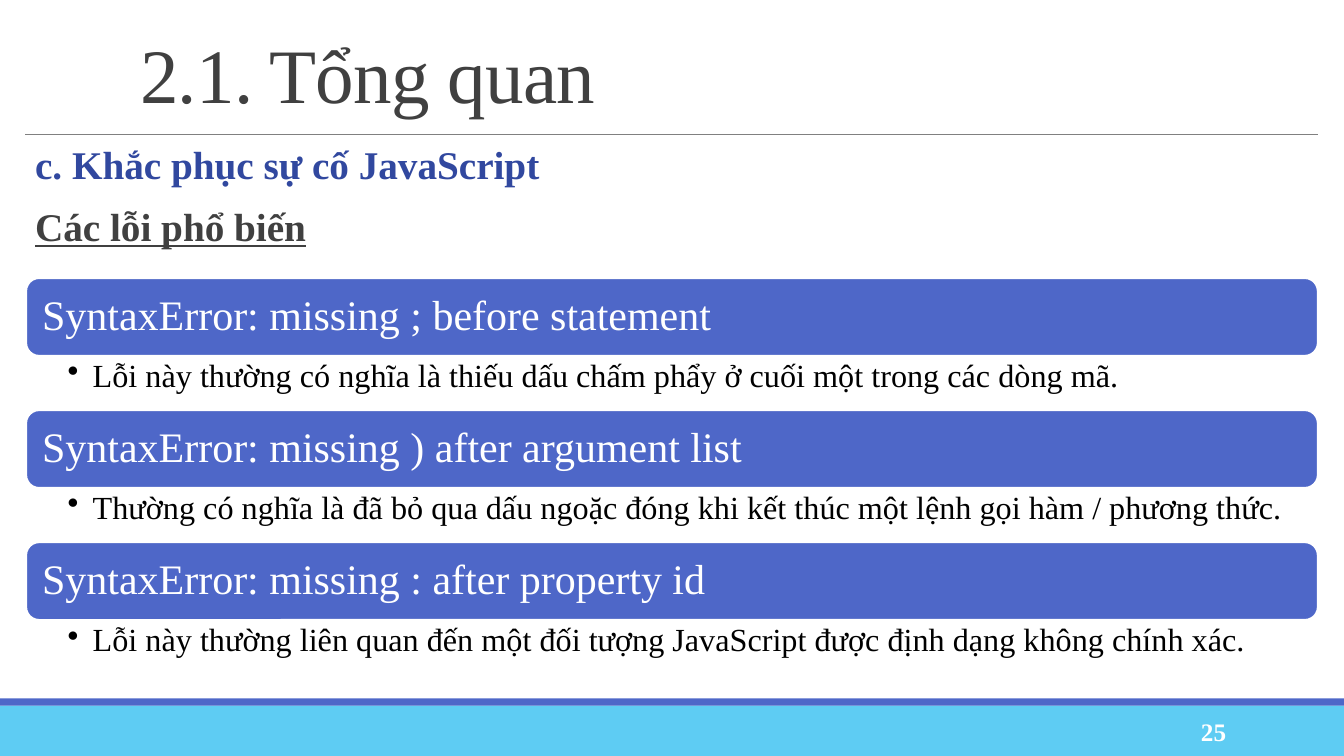
from lxml import etree
from pptx import Presentation, util as u
from pptx.dml.color import RGBColor
from pptx.enum import shapes, text
from pptx.oxml.ns import qn

# Content
TITLE = "2.1. Tổng quan"
SECTION = "c. Khắc phục sự cố JavaScript"
SUBHEAD = "Các lỗi phổ biến"
PAGE = "25"
ERRORS = [
    ("SyntaxError: missing ; before statement",
     "Lỗi này thường có nghĩa là thiếu dấu chấm phẩy ở cuối một trong các dòng mã."),
    ("SyntaxError: missing ) after argument list",
     "Thường có nghĩa là đã bỏ qua dấu ngoặc đóng khi kết thúc một lệnh gọi hàm / phương thức."),
    ("SyntaxError: missing : after property id",
     "Lỗi này thường liên quan đến một đối tượng JavaScript được định dạng không chính xác."),
]

FONT = "Times New Roman"
WHITE = RGBColor(0xFF, 0xFF, 0xFF)
BLACK = RGBColor(0, 0, 0)
DARK = RGBColor(0x40, 0x40, 0x40)
GREY = RGBColor(0x80, 0x80, 0x80)
BLUE = RGBColor(0x4E, 0x67, 0xC8)
NAVY = RGBColor(0x31, 0x48, 0x9F)
SKY = RGBColor(0x5E, 0xCC, 0xF3)

# Layout in inches
W, H = 13.33, 7.5
LEFT, RIGHT = 0.25, 13.07
LIST_LEFT, LIST_TOP, LIST_W = 0.26, 2.76, 12.81
BAR_H, NOTE_H = 0.77, 0.54
FOOTER_H, STRIPE_H = 0.5, 0.07

prs = Presentation()
prs.slide_width, prs.slide_height = u.Inches(W), u.Inches(H)
s = prs.slides.add_slide(prs.slide_layouts[6])


def box(*at):
    return s.shapes.add_textbox(*map(u.Inches, at))


def block(kind, at, fill, line=None):
    sp = s.shapes.add_shape(kind, *map(u.Inches, at))
    sp.shadow.inherit = False
    sp.fill.solid()
    sp.fill.fore_color.rgb = fill
    if line is None:
        sp.line.fill.background()
    else:
        sp.line.color.rgb = line
        sp.line.width = u.Pt(1.25)
    return sp


def write(sp, content, size, color, bold=False, underline=False, align="LEFT",
          anchor="TOP", insets=(0.1, 0.05, 0.1, 0.05), spacing=0.9,
          before=0, after=0, bullet=None, track=None, add=False):
    tf = sp.text_frame
    tf.word_wrap = True
    tf.vertical_anchor = text.MSO_ANCHOR[anchor]
    tf.margin_left, tf.margin_top, tf.margin_right, tf.margin_bottom = map(u.Inches, insets)
    p = tf.add_paragraph() if add else tf.paragraphs[0]
    p.alignment = text.PP_ALIGN[align]
    p.line_spacing = spacing
    p.space_before, p.space_after = u.Pt(before), u.Pt(after)
    if bullet:
        pPr = p._p.get_or_add_pPr()
        pPr.set("marL", str(u.Inches(0.25)))
        pPr.set("indent", str(-u.Inches(0.25)))
        etree.SubElement(pPr, qn("a:buChar")).set("char", bullet)
    r = p.add_run()
    r.text = content
    f = r.font
    f.name, f.size, f.bold, f.underline = FONT, u.Pt(size), bold, underline
    f.color.rgb = color
    if track:
        r._r.get_or_add_rPr().set("spc", str(track))


# Footer bands
RECT = shapes.MSO_SHAPE.RECTANGLE
block(RECT, (0, H - FOOTER_H, W, FOOTER_H), SKY)
block(RECT, (0, H - FOOTER_H - STRIPE_H, W, STRIPE_H), BLUE)
write(box(10.83, 7.06, 1.43, 0.4), PAGE, 18, WHITE, bold=True, align="RIGHT",
      anchor="MIDDLE", spacing=1)

# Title and rule
write(box(1.29, 0.31, 11.78, 0.96), TITLE, 55, DARK, anchor="MIDDLE",
      spacing=0.85, track=-50)
rule = s.shapes.add_connector(shapes.MSO_CONNECTOR.STRAIGHT,
                              *map(u.Inches, (LEFT, 1.33, RIGHT, 1.33)))
rule.line.color.rgb = GREY
rule.line.width = u.Pt(0.5)
etree.SubElement(rule._element.spPr, qn("a:effectLst"))

# Section headings
heads = box(LEFT, 1.4, RIGHT - LEFT, 1.3)
write(heads, SECTION, 28, NAVY, bold=True, align="JUSTIFY", after=2)
write(heads, SUBHEAD, 28, DARK, bold=True, underline=True, align="JUSTIFY",
      before=12, after=2, add=True)

# Error bars, each with its explanation below
for i, (error, note) in enumerate(ERRORS):
    top = LIST_TOP + i * (BAR_H + NOTE_H)
    bar = block(shapes.MSO_SHAPE.ROUNDED_RECTANGLE,
                (LIST_LEFT, top, LIST_W, BAR_H), BLUE, WHITE)
    write(bar, error, 30, WHITE, anchor="MIDDLE", insets=(0.12,) * 4)
    write(box(LIST_LEFT, top + BAR_H, LIST_W, NOTE_H), note, 23, BLACK,
          insets=(0.41, 0.04, 0.23, 0.04), bullet="•")

prs.save("out.pptx")
